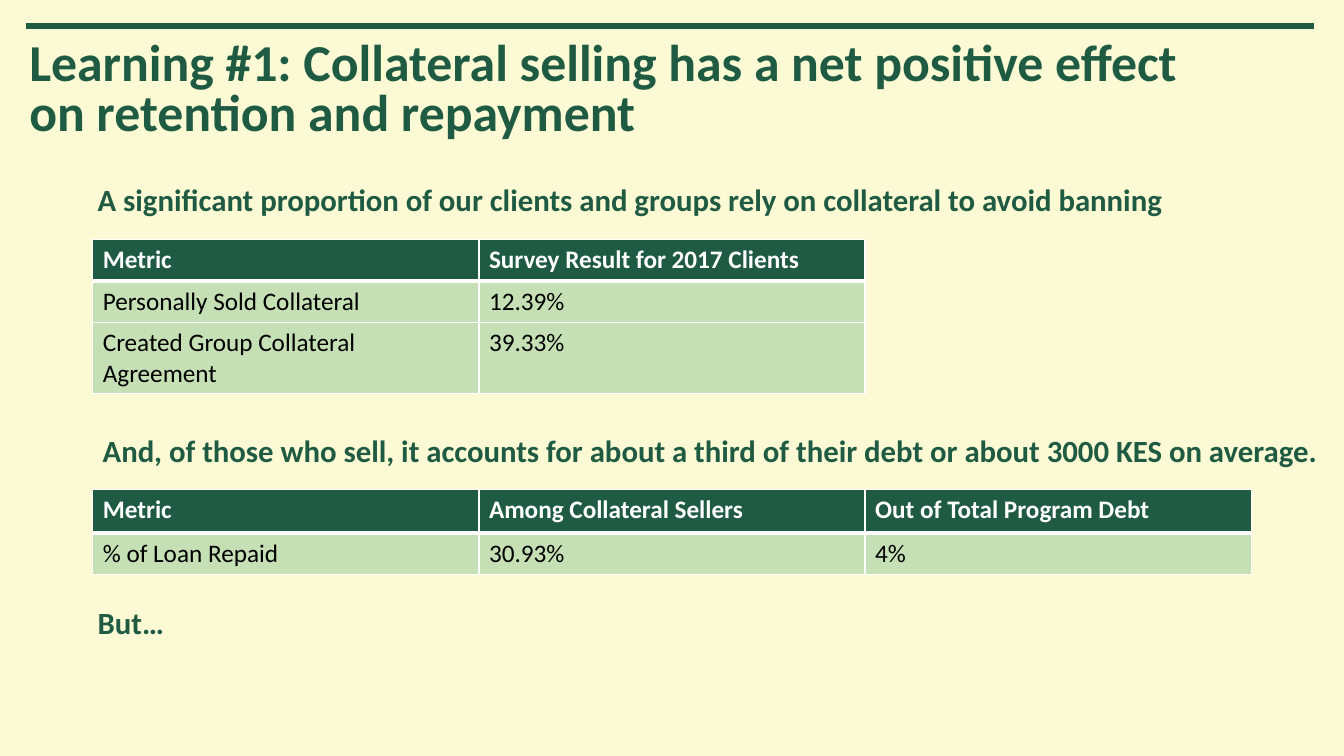
from lxml import etree
from pptx import Presentation
from pptx.dml.color import RGBColor
from pptx.enum import shapes, text
from pptx.oxml import ns
from pptx import util as u

GREEN, PALE, WHITE, BLACK = "1F5B43", "C5E0B4", "FFFFFF", "000000"
COL, LEFT = 3.83, 0.92


def paint(fmt, color):
    if hasattr(fmt, "solid"):
        fmt.solid()
        fmt = fmt.fore_color
    fmt.rgb = RGBColor.from_string(color)


def style(p, size, color, bold=True):
    p.font.name, p.font.size, p.font.bold = "Calibri", u.Pt(size), bold
    paint(p.font.color, color)


prs = Presentation()
prs.slide_width, prs.slide_height = u.Inches(13.33), u.Inches(7.5)
s = prs.slides.add_slide(prs.slide_layouts[5])
paint(s.background.fill, "FBFAD4")

rule = s.shapes.add_connector(shapes.MSO_CONNECTOR.STRAIGHT,
                              *map(u.Inches, (0.26, 0.26, 13.03, 0.26)))
paint(rule.line.color, GREEN)
rule.line.width = u.Pt(4.25)
etree.SubElement(rule._element.spPr, ns.qn("a:effectLst"))

title = s.shapes.title
title.left, title.top, title.width, title.height = map(u.Inches, (0.29, 0.4, 11.86, 1.02))
tf = title.text_frame
tf.text = "Learning #1: Collateral selling has a net positive effect on retention and repayment"
tf.auto_size = text.MSO_AUTO_SIZE.NONE
tf.vertical_anchor = text.MSO_ANCHOR.MIDDLE
tf.margin_left = tf.margin_top = tf.margin_right = tf.margin_bottom = 0
p = tf.paragraphs[0]
p.alignment = text.PP_ALIGN.LEFT
p.line_spacing, p.space_before = 0.8, u.Pt(10)
style(p, 37, GREEN)

statements = [
    (0.87, 1.74, 10.89, "A significant proportion of our clients and groups rely on collateral to avoid banning"),
    (LEFT, 4.23, 12.4, "And, of those who sell, it accounts for about a third of their debt or about 3000 KES on average."),
    (0.87, 5.94, 0.89, "But…"),
]
for x, y, w, words in statements:
    tf = s.shapes.add_textbox(*map(u.Inches, (x, y, w, 0.47))).text_frame
    tf.word_wrap = False
    tf.auto_size = text.MSO_AUTO_SIZE.SHAPE_TO_FIT_TEXT
    tf.text = words
    style(tf.paragraphs[0], 22, GREEN)

tables = [
    (2.38, [0.41, 0.41, 0.7], [
        ["Metric", "Survey Result for 2017 Clients"],
        ["Personally Sold Collateral", "12.39%"],
        ["Created Group Collateral Agreement", "39.33%"]]),
    (4.86, [0.43, 0.41], [
        ["Metric", "Among Collateral Sellers", "Out of Total Program Debt"],
        ["% of Loan Repaid", "30.93%", "4%"]]),
]
for top, heights, rows in tables:
    n = len(rows[0])
    tbl = s.shapes.add_table(len(rows), n, *map(u.Inches, (LEFT, top, COL * n, sum(heights)))).table
    for col in tbl.columns:
        col.width = u.Inches(COL)
    for i, (height, row) in enumerate(zip(heights, rows)):
        tbl.rows[i].height = u.Inches(height)
        for j, words in enumerate(row):
            cell = tbl.cell(i, j)
            cell.text = words
            style(cell.text_frame.paragraphs[0], 18, BLACK if i else WHITE, i == 0)
            tcPr = cell._tc.get_or_add_tcPr()
            for side in "LRTB":
                thick = (i, side) in [(0, "B"), (1, "T")]
                ln = etree.SubElement(tcPr, ns.qn("a:ln" + side), w=str(u.Pt(3 if thick else 1)))
                fill = etree.SubElement(ln, ns.qn("a:solidFill"))
                etree.SubElement(fill, ns.qn("a:srgbClr"), val=WHITE)
            paint(cell.fill, PALE if i else GREEN)

prs.save("out.pptx")
